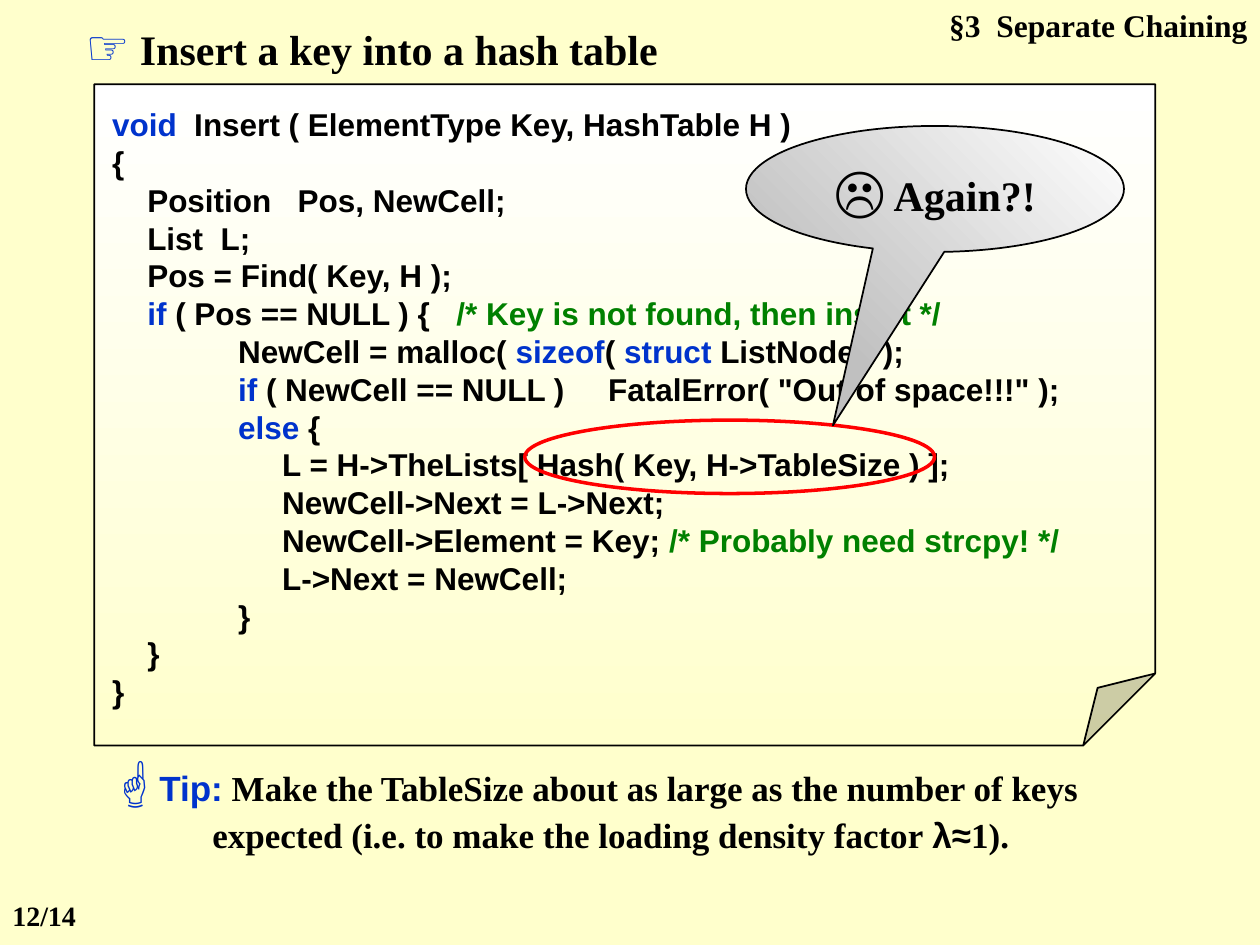
"""Build the slide on inserting a key into a hash table."""
from pptx import Presentation
from pptx.dml.color import RGBColor
from pptx.enum.shapes import MSO_SHAPE
from pptx.enum.text import MSO_ANCHOR, MSO_AUTO_SIZE, PP_ALIGN
from pptx.util import Cm, Pt

FOLD, OVAL, CALL = MSO_SHAPE.FOLDED_CORNER, MSO_SHAPE.OVAL, MSO_SHAPE.OVAL_CALLOUT
LEFT, MID, RIGHT = PP_ALIGN.LEFT, PP_ALIGN.CENTER, PP_ALIGN.RIGHT
TOP, CORE = MSO_ANCHOR.TOP, MSO_ANCHOR.MIDDLE
FIXED = MSO_AUTO_SIZE.NONE
SANS, SERIF = "Arial", "Times New Roman"
BLACK, BLUE, GREEN = "000000", "0033CC", "008000"


def tint(code):
    """Turn a hex string into a colour."""
    return RGBColor.from_string(code)


def write(frame, lines, align=LEFT, anchor=TOP):
    """Fill a frame with lines of (margin, indent, runs)."""
    form = {"word_wrap": True, "auto_size": FIXED, "vertical_anchor": anchor}
    for name, value in form.items():
        setattr(frame, name, value)
    for i, (margin, indent, runs) in enumerate(lines):
        para = frame.add_paragraph() if i else frame.paragraphs[0]
        para.alignment = align
        props = para._p.get_or_add_pPr()
        props.set("marL", str(Cm(margin)))
        props.set("indent", str(Cm(indent)))
        for text, size, face, code in runs:
            run = para.add_run()
            run.text = text
            look = {"size": Pt(size), "name": face, "bold": True}
            for name, value in look.items():
                setattr(run.font, name, value)
            run.font.color.rgb = tint(code)


deck = Presentation()
deck.slide_width, deck.slide_height = Cm(25.4), Cm(19.05)
slide = deck.slides.add_slide(deck.slide_layouts[5])
slide.background.fill.solid()
slide.background.fill.fore_color.rgb = tint("FFFFCC")

title = slide.shapes.title
place = {"left": 1.47, "top": 0.2, "width": 12.9, "height": 1.45}
for name, value in place.items():
    setattr(title, name, Cm(value))
write(title.text_frame, [(0, 0, [
    ("☞", 28, SANS, BLUE),
    (" Insert a key into a hash table", 24, SERIF, BLACK)])])

forms = {
    "code": (FOLD, (1.9, 1.7, 21.39, 13.33), [("adj", 10900)],
             ("FFFFFF", "FFFFCC"), 270, BLACK, 1),
    "ring": (OVAL, (10.58, 8.47, 8.26, 1.48), [], None, 0, "FF0000", 2),
    "call": (CALL, (15.04, 2.54, 7.62, 2.54), [("adj1", -27000), ("adj2", 187700)],
             ("C0C0C0", "FFFFFF"), 45, BLACK, 1),
}
made = {}
for name, (kind, box, bends, blend, angle, edge, width) in forms.items():
    shape = made[name] = slide.shapes.add_shape(kind, *map(Cm, box))
    shape.shadow.inherit = False
    shape.line.color.rgb = tint(edge)
    shape.line.width = Pt(width)
    shape._element.spPr.prstGeom.rewrite_guides(bends)
    if blend:
        shape.fill.gradient()
        shape.fill.gradient_angle = angle
        for stop, code in zip(shape.fill.gradient_stops, blend):
            stop.color.rgb = tint(code)
    else:
        shape.fill.background()

STEPS = [0, 0.71, 2.54, 3.43]
code = [
    (0, [("void", BLUE), ("  Insert ( ElementType Key, HashTable H )", BLACK)]),
    (0, [("{", BLACK)]),
    (1, [("Position   Pos, NewCell;", BLACK)]),
    (1, [("List  L;", BLACK)]),
    (1, [("Pos = Find( Key, H );", BLACK)]),
    (1, [("if ", BLUE), ("( Pos == NULL ) {   ", BLACK),
         ("/* Key is not found, then insert */", GREEN)]),
    (2, [("NewCell = malloc( ", BLACK), ("sizeof", BLUE), ("( ", BLACK),
         ("struct", BLUE), (" ListNode ) );", BLACK)]),
    (2, [("if ", BLUE),
         ('( NewCell == NULL )     FatalError( "Out of space!!!" );', BLACK)]),
    (2, [("else", BLUE), (" {", BLACK)]),
    (3, [("L = H->TheLists[ Hash( Key, H->TableSize ) ];", BLACK)]),
    (3, [("NewCell->Next = L->Next;", BLACK)]),
    (3, [("NewCell->Element = Key; ", BLACK), ("/* Probably need strcpy! */", GREEN)]),
    (3, [("L->Next = NewCell;", BLACK)]),
    (2, [("}", BLACK)]),
    (1, [("}", BLACK)]),
    (0, [("}", BLACK)]),
]
frame = made["code"].text_frame
for name, value in {"margin_left": 0.36, "margin_top": 0.42}.items():
    setattr(frame, name, Cm(value))
write(frame, [(STEPS[step], 0, [(text, 18, SANS, hue) for text, hue in runs])
              for step, runs in code])
write(made["call"].text_frame, [(0, 0, [
    ("☹", 32, SANS, BLACK), (" Again?!", 24, SERIF, BLACK)])], MID, CORE)

notes = [
    ((18.21, 0, 7.19, 1.02), RIGHT, 0, [("§3  Separate Chaining", 18, SERIF, BLACK)]),
    ((1.9, 14.91, 21.17, 2.46), LEFT, 2.13, [
        ("☝", 32, SANS, BLUE),
        ("Tip:", 20, SANS, BLUE),
        (" Make the TableSize about as large as the number of keys expected "
         "(i.e. to make the loading density factor ", 20, SERIF, BLACK),
        ("λ≈", 20, SANS, BLACK),
        ("1).", 20, SERIF, BLACK)]),
    ((0, 17.98, 2.75, 0.94), LEFT, 0, [("12/14", 16, SERIF, BLACK)]),
]
for box, align, hang, runs in notes:
    note = slide.shapes.add_textbox(*map(Cm, box))
    write(note.text_frame, [(hang, -hang, runs)], align)

deck.save("out.pptx")
